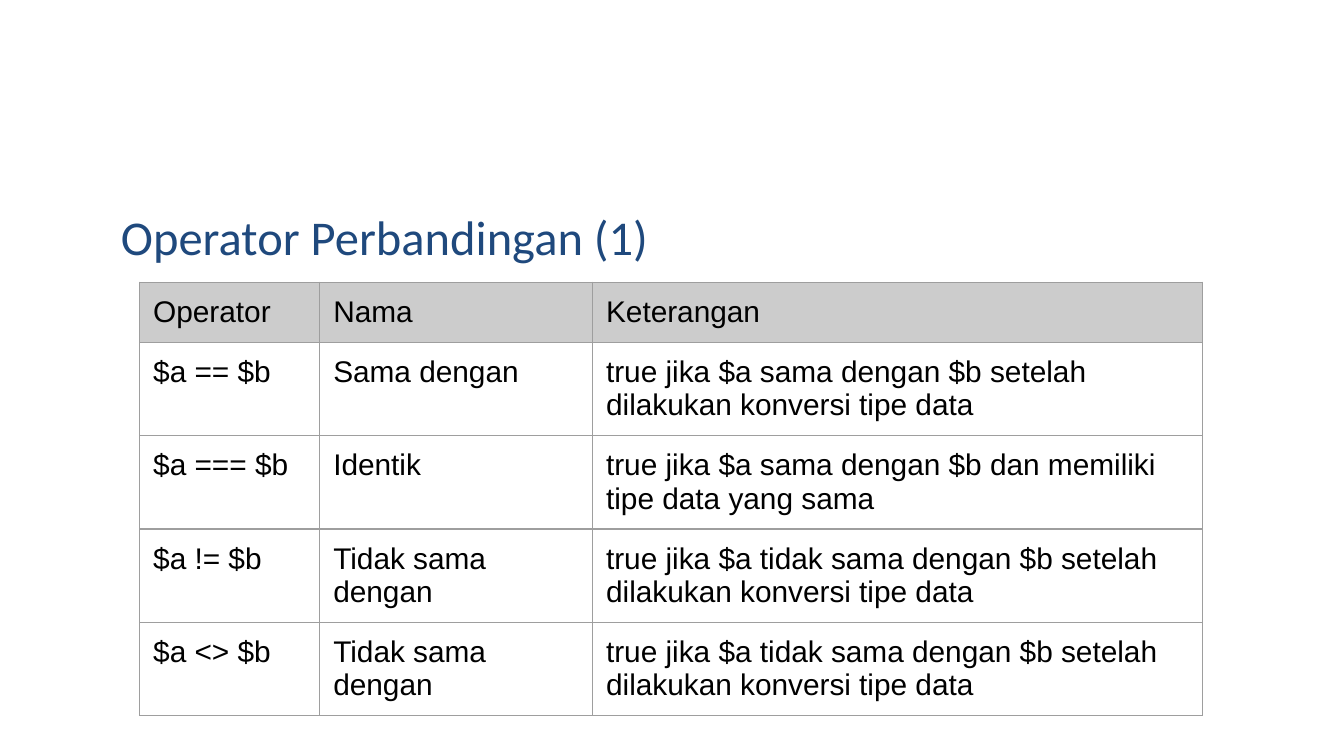
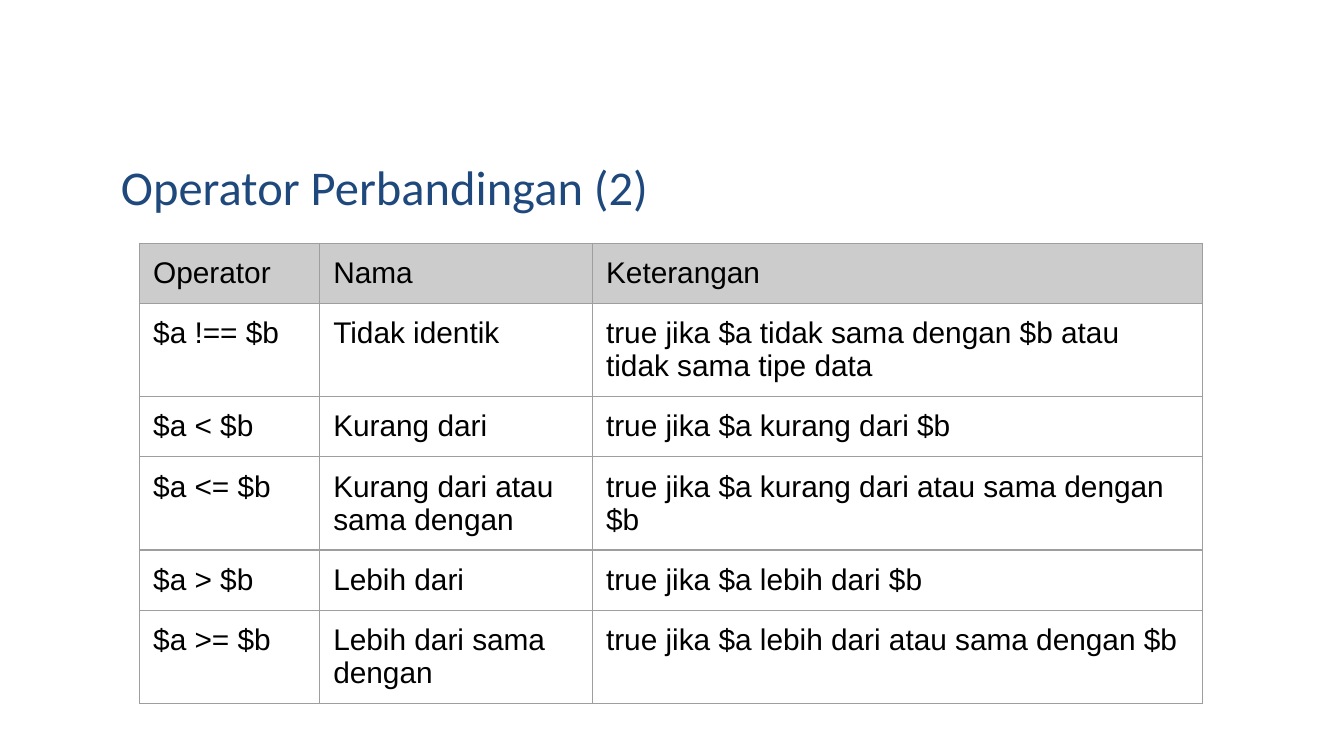
from lxml.etree import SubElement
from pptx import Presentation
from pptx.dml.color import RGBColor
from pptx.enum.text import MSO_ANCHOR, MSO_AUTO_SIZE, PP_ALIGN
from pptx.oxml.ns import qn
from pptx.util import Inches, Pt

NAVY, BLACK, GREY, LINE = "1F497D", "000000", "CCCCCC", "9E9E9E"
WIDE = Inches(10)
SIZE = {"slide_width": WIDE, "slide_height": WIDE * 9 // 16}
TITLE = {"name": "Calibri", "size": Pt(26), "bold": False}
BODY = {"name": "Arial", "size": Pt(16), "bold": False}
PAD = {f"margin_{side}": Inches(0.1) for side in ("left", "top", "right", "bottom")}
FRAME = {**PAD, "word_wrap": True, "auto_size": MSO_AUTO_SIZE.NONE,
         "vertical_anchor": MSO_ANCHOR.TOP}
CELL = {**PAD, "vertical_anchor": MSO_ANCHOR.TOP}
WIDTHS = (1.34, 2.03, 4.54)
ROW = 0.42
HEAD = ("Operator", "Nama", "Keterangan")
PAGES = (
    ("Operator Perbandingan (1)", 1.44, 2.1, (
        ("$a == $b", "Sama dengan",
         "true jika $a sama dengan $b setelah dilakukan konversi tipe data"),
        ("$a === $b", "Identik",
         "true jika $a sama dengan $b dan memiliki tipe data yang sama"),
        ("$a != $b", "Tidak sama dengan",
         "true jika $a tidak sama dengan $b setelah dilakukan konversi tipe data"),
        ("$a <> $b", "Tidak sama dengan",
         "true jika $a tidak sama dengan $b setelah dilakukan konversi tipe data"),
    )),
    ("Operator Perbandingan (2)", 1.07, 1.81, (
        ("$a !== $b", "Tidak identik",
         "true jika $a tidak sama dengan $b atau tidak sama tipe data"),
        ("$a < $b", "Kurang dari", "true jika $a kurang dari $b"),
        ("$a <= $b", "Kurang dari atau sama dengan",
         "true jika $a kurang dari atau sama dengan $b"),
        ("$a > $b", "Lebih dari", "true jika $a lebih dari $b"),
        ("$a >= $b", "Lebih dari sama dengan",
         "true jika $a lebih dari atau sama dengan $b"),
    )),
)


def apply(item, style):
    for key, value in style.items():
        setattr(item, key, value)


def paint(color, code):
    color.rgb = RGBColor.from_string(code)


def write(frame, text, style, code):
    frame.text = text
    line = frame.paragraphs[0]
    line.alignment = PP_ALIGN.LEFT
    font = line.runs[0].font
    apply(font, style)
    paint(font.color, code)


def add_title(slide, text, top):
    title = slide.shapes.title
    apply(title, {"left": Inches(0.8), "top": Inches(top),
                  "width": Inches(8.41), "height": Inches(0.59)})
    apply(title.text_frame, FRAME)
    write(title.text_frame, text, TITLE, NAVY)


def add_edges(cell):
    props = cell._tc.get_or_add_tcPr()
    for side in ("a:lnL", "a:lnR", "a:lnT", "a:lnB"):
        edge = SubElement(props, qn(side), w=str(Pt(0.75)))
        fill = SubElement(edge, qn("a:solidFill"))
        SubElement(fill, qn("a:srgbClr"), val=LINE)


def fill_cell(cell, text, is_head):
    apply(cell, CELL)
    add_edges(cell)
    if is_head:
        cell.fill.solid()
        paint(cell.fill.fore_color, GREY)
    else:
        cell.fill.background()
    write(cell.text_frame, text, BODY, BLACK)


def add_grid(slide, top, rows):
    table = slide.shapes.add_table(
        len(rows), len(WIDTHS), Inches(1.04), Inches(top),
        Inches(sum(WIDTHS)), Inches(ROW * len(rows))).table
    table.horz_banding = False
    for column, width in zip(table.columns, WIDTHS):
        column.width = Inches(width)
    for r, row in enumerate(rows):
        table.rows[r].height = Inches(ROW)
        for c, text in enumerate(row):
            fill_cell(table.cell(r, c), text, r == 0)


def main():
    deck = Presentation()
    apply(deck, SIZE)
    for title, top, start, rows in PAGES:
        slide = deck.slides.add_slide(deck.slide_layouts[5])
        add_title(slide, title, top)
        add_grid(slide, start, (HEAD, *rows))
    deck.save("out.pptx")


if __name__ == "__main__":
    main()
